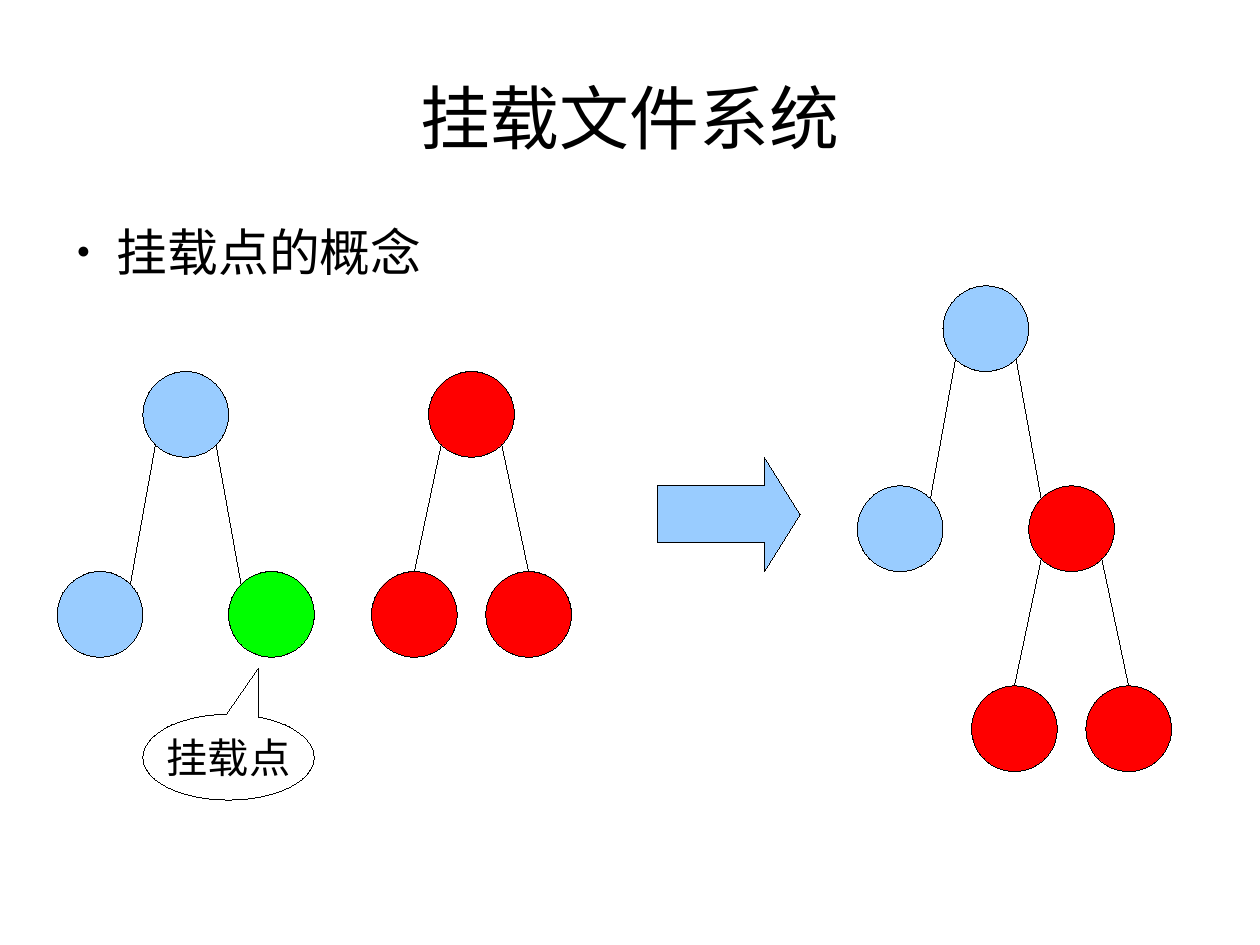
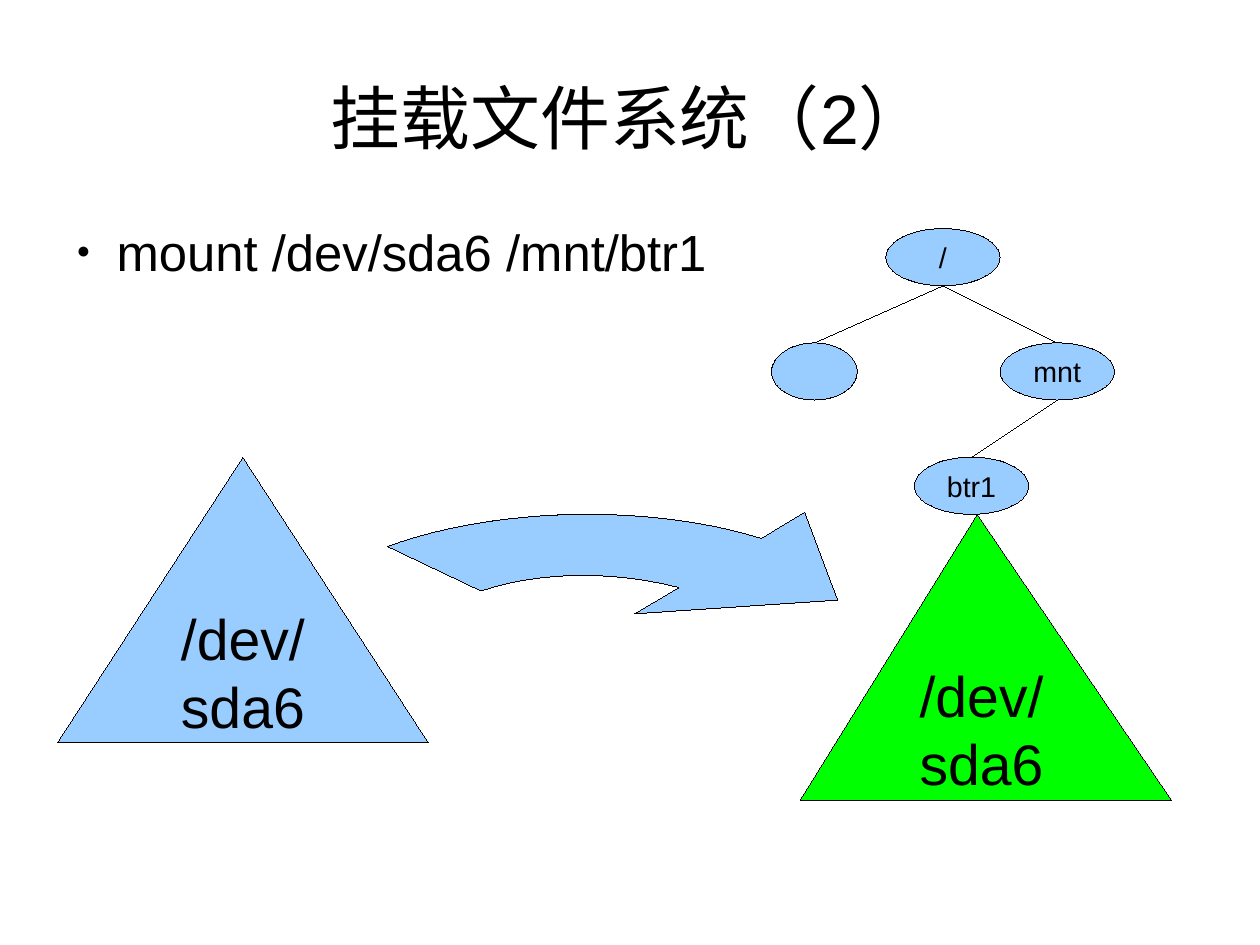
from dataclasses import dataclass
from math import sqrt

from lxml.etree import SubElement
from pptx import Presentation
from pptx.dml.color import RGBColor
from pptx.enum.shapes import MSO_CONNECTOR, MSO_SHAPE
from pptx.enum.text import MSO_ANCHOR, PP_ALIGN
from pptx.oxml.ns import qn
from pptx.util import Cm, Inches, Pt


@dataclass(frozen=True)
class Theme:
    font: str = "Arial"
    ink: str = "000000"
    blue: str = "99CCFF"
    green: str = "00FF00"
    red: str = "FF0000"
    title_size: int = 44
    body_size: int = 32
    volume_size: int = 36
    callout_size: int = 26
    label_size: int = 18
    line_width: int = 0


THEME = Theme()
PAGE_SIZE = (Cm(28), Cm(21))
TITLE_AREA = (0.55, 0.38, 9.92, 1.28)
BODY_AREA = (0.55, 1.93, 9.92, 5.36)

CONCEPT = ("挂载文件系统", "挂载点的概念")
COMMAND = ("挂载文件系统（2）", "mount /dev/sda6 /mnt/btr1")

NODE_SIZE = 0.75
LEVEL_STEP = 1.75
WIDE, NARROW = 0.75, 0.5
RED_LEAF = (THEME.red, 0, [])
BLUE_LEAF = (THEME.blue, 0, [])
RED_TREE = (THEME.red, NARROW, [RED_LEAF, RED_LEAF])
TREES = [
    (1.25, 3.25, (THEME.blue, WIDE, [BLUE_LEAF, (THEME.green, 0, [])])),
    (3.75, 3.25, RED_TREE),
    (8.25, 2.5, (THEME.blue, WIDE, [BLUE_LEAF, RED_TREE])),
]

DIRECTORY_HEIGHT = 0.5
DIRECTORIES = {
    "root": ("/", 7.75, 2, 1),
    "sibling": ("", 6.75, 3, 0.75),
    "mnt": ("mnt", 8.75, 3, 1),
    "btr1": ("btr1", 8, 4, 1),
}
BRANCHES = [("root", "sibling"), ("root", "mnt"), ("mnt", "btr1")]
VOLUMES = [
    ("/dev/sda6", (0.5, 4, 3.25, 2.5), 0.5, THEME.blue),
    ("/dev/sda6", (7, 4.5, 3.25, 2.5), 0.477, THEME.green),
]
ARROW_TOP = [(3.39, 4.78), (4.35, 4.43), (5.7, 4.41), (6.66, 4.71)]
ARROW_HEAD = [(7.04, 4.48), (7.33, 5.25), (5.55, 5.37)]
ARROW_BOTTOM = [(5.94, 5.14), (5.4, 5), (4.74, 4.99), (4.21, 5.17)]


def write(frame, text, size, align=PP_ALIGN.CENTER, anchor=MSO_ANCHOR.MIDDLE, wrap=True):
    frame.word_wrap = wrap
    frame.vertical_anchor = anchor
    para = frame.paragraphs[0]
    para.alignment = align
    span = para.add_run()
    span.text = text
    span.font.name = THEME.font
    span.font.size = Pt(size)
    span.font.color.rgb = RGBColor.from_string(THEME.ink)
    return para


def outline(item):
    item.line.color.rgb = RGBColor.from_string(THEME.ink)
    item.get_or_add_ln().set("w", str(Pt(THEME.line_width)))


def paint(shape, fill):
    shape.shadow.inherit = False
    outline(shape)
    if fill:
        shape.fill.solid()
        shape.fill.fore_color.rgb = RGBColor.from_string(fill)
    else:
        shape.fill.background()


def add_shape(page, kind, area, fill=None, adjustments=()):
    shape = page.shapes.add_shape(kind, *map(Inches, area))
    paint(shape, fill)
    for index, value in enumerate(adjustments):
        shape.adjustments[index] = value
    return shape


def add_line(page, start, end):
    line = page.shapes.add_connector(MSO_CONNECTOR.STRAIGHT, *map(Inches, (*start, *end)))
    outline(line)
    SubElement(line._element.spPr, qn("a:effectLst"))


def place(box, area):
    box.left, box.top, box.width, box.height = map(Inches, area)


def prepare_layout(deck):
    layout = deck.slide_layouts[1]
    for box, area in zip(layout.placeholders, (TITLE_AREA, BODY_AREA)):
        place(box, area)
        frame = box.text_frame
        frame.margin_left = frame.margin_right = frame.margin_top = frame.margin_bottom = 0
    return layout


def add_page(deck, layout, title, bullet):
    page = deck.slides.add_slide(layout)
    write(page.shapes.title.text_frame, title, THEME.title_size)
    para = write(page.placeholders[1].text_frame, bullet, THEME.body_size,
                 align=PP_ALIGN.LEFT, anchor=MSO_ANCHOR.TOP)
    para.space_before = Pt(0)
    para.space_after = Pt(14.2)
    props = para._p.get_or_add_pPr()
    props.set("marL", str(Inches(0.47)))
    props.set("indent", str(Inches(-0.35)))
    color = SubElement(props, qn("a:buClr"))
    SubElement(color, qn("a:srgbClr"), val=THEME.ink)
    SubElement(props, qn("a:buSzPct"), val="45000")
    SubElement(props, qn("a:buFont"), typeface=THEME.font)
    SubElement(props, qn("a:buChar"), char="●")
    return page


def draw_tree(page, left, top, node):
    fill, gap, children = node
    add_shape(page, MSO_SHAPE.OVAL, (left, top, NODE_SIZE, NODE_SIZE), fill)
    radius = NODE_SIZE / 2
    diagonal = radius / sqrt(2)
    center_x, center_y = left + radius, top + radius
    for side, child in zip((-1, 1), children):
        child_x, child_y = center_x + side * gap, center_y + LEVEL_STEP
        draw_tree(page, child_x - radius, child_y - radius, child)
        if gap == WIDE:
            end = (child_x - side * diagonal, child_y - diagonal)
        else:
            end = (child_x, child_y - radius)
        add_line(page, (center_x + side * diagonal, center_y + diagonal), end)


def curve(points, steps=24):
    weights = (1, 3, 3, 1)
    return [
        tuple(sum(weight * (1 - t) ** (3 - power) * t ** power * point[axis]
                  for power, (weight, point) in enumerate(zip(weights, points)))
              for axis in (0, 1))
        for t in (step / steps for step in range(steps + 1))
    ]


def draw_concept(page):
    for left, top, tree in TREES:
        draw_tree(page, left, top, tree)
    add_shape(page, MSO_SHAPE.RIGHT_ARROW, (5.75, 4, 1.25, 1), THEME.blue, (0.5, 0.312))
    callout = add_shape(page, MSO_SHAPE.OVAL_CALLOUT, (1.25, 6.25, 1.5, 0.75),
                        adjustments=(0.173, -1.04))
    write(callout.text_frame, "挂载点", THEME.callout_size, wrap=False)


def draw_command(page):
    for label, left, top, width in DIRECTORIES.values():
        oval = add_shape(page, MSO_SHAPE.OVAL, (left, top, width, DIRECTORY_HEIGHT), THEME.blue)
        if label:
            write(oval.text_frame, label, THEME.label_size)
    for parent, child in BRANCHES:
        (_, left, top, width), (_, child_left, child_top, child_width) = (
            DIRECTORIES[parent], DIRECTORIES[child])
        add_line(page, (left + width / 2, top + DIRECTORY_HEIGHT),
                 (child_left + child_width / 2, child_top))
    for label, area, apex, fill in VOLUMES:
        triangle = add_shape(page, MSO_SHAPE.ISOSCELES_TRIANGLE, area, fill, (apex,))
        write(triangle.text_frame, label, THEME.volume_size)
    points = [tuple(map(Inches, point))
              for point in curve(ARROW_TOP) + ARROW_HEAD + curve(ARROW_BOTTOM)]
    builder = page.shapes.build_freeform(*points[0])
    builder.add_line_segments(points[1:], close=True)
    paint(builder.convert_to_shape(), THEME.blue)


def main():
    deck = Presentation()
    deck.slide_width, deck.slide_height = PAGE_SIZE
    layout = prepare_layout(deck)
    draw_concept(add_page(deck, layout, *CONCEPT))
    draw_command(add_page(deck, layout, *COMMAND))
    deck.save("out.pptx")


if __name__ == "__main__":
    main()
